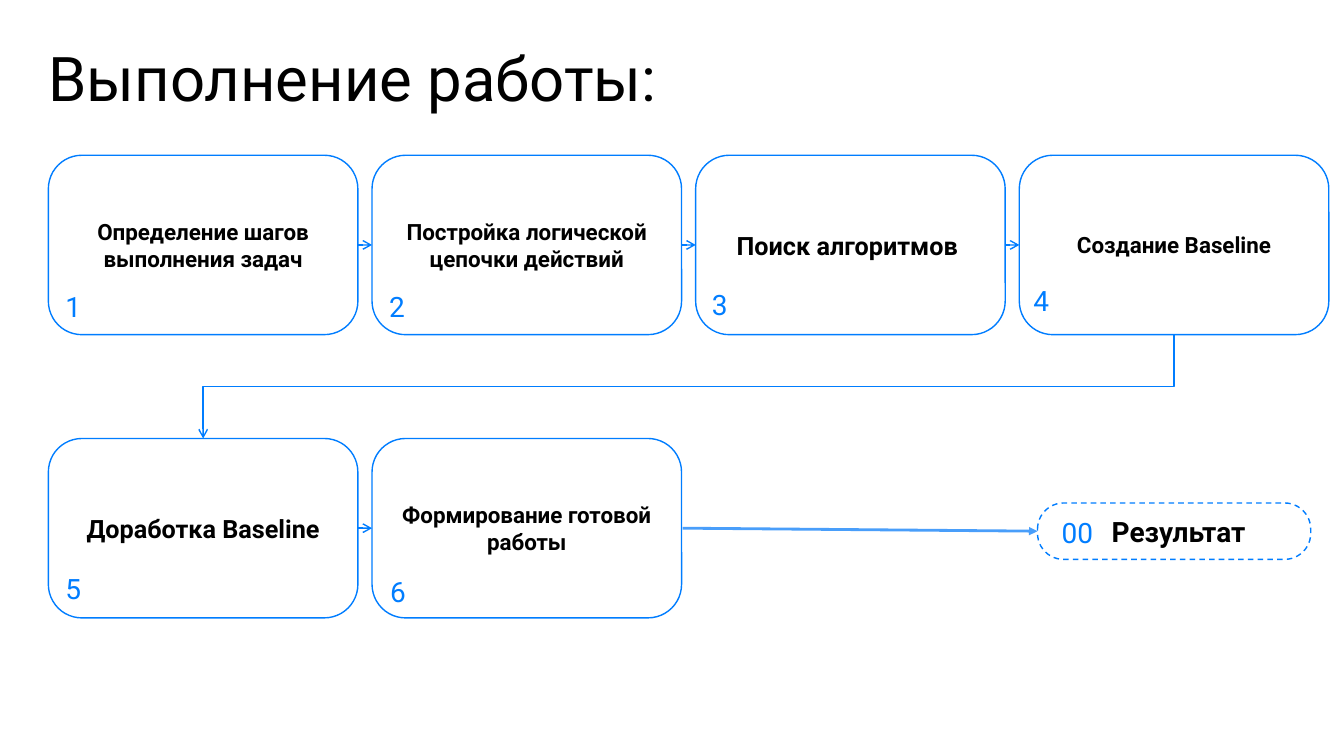
import dataclasses

import pptx
import pptx.dml.color
import pptx.enum.dml
import pptx.enum.shapes
import pptx.enum.text
import pptx.oxml
import pptx.oxml.ns
import pptx.util

Inches = pptx.util.Inches
Pt = pptx.util.Pt
RGBColor = pptx.dml.color.RGBColor
ALIGN = pptx.enum.text.PP_ALIGN
ANCHOR = pptx.enum.text.MSO_ANCHOR
CONNECTOR = pptx.enum.shapes.MSO_CONNECTOR

BLUE = RGBColor(0x00, 0x7D, 0xFF)
LIGHT_BLUE = RGBColor(0x49, 0x9E, 0xFA)
WHITE = RGBColor(0xFF, 0xFF, 0xFF)
BLACK = RGBColor(0x00, 0x00, 0x00)
FONT = "Roboto"

LEFT, TOP = 0.48, 1.54
CARD_WIDTH, CARD_HEIGHT = 3.07, 1.78
COLUMN_STEP, ROW_STEP = 3.21, 2.81
COLUMNS = 4


@dataclasses.dataclass
class Step:
    text: str
    size: int
    number_left: float
    number_top: float


@dataclasses.dataclass
class Label:
    text: str
    left: float
    top: float
    width: float
    height: float
    size: int
    color: RGBColor = BLACK
    bold: bool = False
    align: ALIGN = ALIGN.LEFT
    anchor: ANCHOR = ANCHOR.TOP
    spacing: float = 1.0


STEPS = [
    Step("Определение шагов выполнения задач", 16, 0.65, 2.87),
    Step("Постройка логической цепочки действий", 16, 3.86, 2.87),
    Step("Поиск алгоритмов ", 18, 7.06, 2.85),
    Step("Создание Baseline", 16, 10.25, 2.81),
    Step("Доработка Baseline", 18, 0.65, 5.67),
    Step("Формирование готовой работы", 16, 3.87, 5.7),
]


def write_text(box, label: Label) -> None:
    frame = box.text_frame
    frame.word_wrap = True
    frame.margin_left = frame.margin_right = 0
    frame.margin_top = frame.margin_bottom = 0
    frame.vertical_anchor = label.anchor
    frame.text = label.text
    para = frame.paragraphs[0]
    para.alignment = label.align
    para.line_spacing = label.spacing
    for span in para.runs:
        span.font.name = FONT
        span.font.size = Pt(label.size)
        span.font.bold = label.bold
        span.font.color.rgb = label.color


def add_label(page, label: Label) -> None:
    box = page.shapes.add_textbox(Inches(label.left), Inches(label.top),
                                  Inches(label.width), Inches(label.height))
    write_text(box, label)


def add_number(page, text: str, left: float, top: float) -> None:
    add_label(page, Label(text, left, top, 0.47, 0.34, 20, BLUE))


def add_rounded(page, left: float, top: float, width: float, height: float, rounding: float):
    box = page.shapes.add_shape(pptx.enum.shapes.MSO_SHAPE.ROUNDED_RECTANGLE,
                                Inches(left), Inches(top), Inches(width), Inches(height))
    box.adjustments[0] = rounding
    box.shadow.inherit = False
    box.fill.solid()
    box.fill.fore_color.rgb = WHITE
    box.line.color.rgb = BLUE
    box.line.width = Pt(1)
    return box


def add_arrow(page, start: tuple[float, float], end: tuple[float, float],
              kind: CONNECTOR = CONNECTOR.STRAIGHT, color: RGBColor = BLUE,
              width: float = 1, head: str = "arrow"):
    arrow = page.shapes.add_connector(kind, *map(Inches, start + end))
    arrow.line.color.rgb = color
    arrow.line.width = Pt(width)
    tail = pptx.oxml.parse_xml(
        f'<a:tailEnd {pptx.oxml.ns.nsdecls("a")} type="{head}"/>')
    arrow.line._get_or_add_ln().append(tail)
    effects = pptx.oxml.parse_xml(f'<a:effectLst {pptx.oxml.ns.nsdecls("a")}/>')
    arrow._element.spPr.append(effects)
    return arrow


def add_turn(page, start: tuple[float, float], end: tuple[float, float]) -> None:
    """Elbow going down, left and down: a quarter turn of the standard elbow."""
    center_x, center_y = (start[0] + end[0]) / 2, (start[1] + end[1]) / 2
    half_run, half_drop = (start[0] - end[0]) / 2, (end[1] - start[1]) / 2
    arrow = add_arrow(page, (center_x - half_drop, center_y - half_run),
                      (center_x + half_drop, center_y + half_run), CONNECTOR.ELBOW)
    arrow._element.spPr.xfrm.set("rot", str(90 * 60000))


def add_step(page, index: int, step: Step) -> None:
    row, column = divmod(index, COLUMNS)
    left, top = LEFT + column * COLUMN_STEP, TOP + row * ROW_STEP
    card = add_rounded(page, left, top, CARD_WIDTH, CARD_HEIGHT, 0.187)
    write_text(card, Label(step.text, left, top, CARD_WIDTH, CARD_HEIGHT, step.size,
                           bold=True, align=ALIGN.CENTER, anchor=ANCHOR.MIDDLE))
    add_number(page, str(index + 1), step.number_left, step.number_top)
    if column:
        middle = top + CARD_HEIGHT / 2
        add_arrow(page, (left - COLUMN_STEP + CARD_WIDTH, middle), (left, middle))


def main() -> None:
    deck = pptx.Presentation()
    deck.slide_width, deck.slide_height = Inches(13.33), Inches(7.5)
    page = deck.slides.add_slide(deck.slide_layouts[6])

    # Title
    add_label(page, Label("Выполнение работы:", LEFT, 0.48, 12.36, 0.71, 44, spacing=0.9))

    # Result
    result = add_rounded(page, 10.29, 4.99, 2.71, 0.56, 0.463)
    result.line.dash_style = pptx.enum.dml.MSO_LINE.DASH
    add_number(page, "00", 10.53, 5.11)
    add_label(page, Label("Результат", 10.76, 5.14, 1.86, 0.3, 20, bold=True,
                          align=ALIGN.CENTER, anchor=ANCHOR.BOTTOM, spacing=0.9))

    # Steps and the arrows within each row
    for index, step in enumerate(STEPS):
        add_step(page, index, step)

    # Turn to the second row and arrow to the result
    first_center = LEFT + CARD_WIDTH / 2
    add_turn(page, (first_center + (COLUMNS - 1) * COLUMN_STEP, TOP + CARD_HEIGHT),
             (first_center, TOP + ROW_STEP))
    add_arrow(page, (6.77, 5.24), (10.29, 5.27), color=LIGHT_BLUE, width=2, head="triangle")

    deck.save("out.pptx")


if __name__ == "__main__":
    main()
